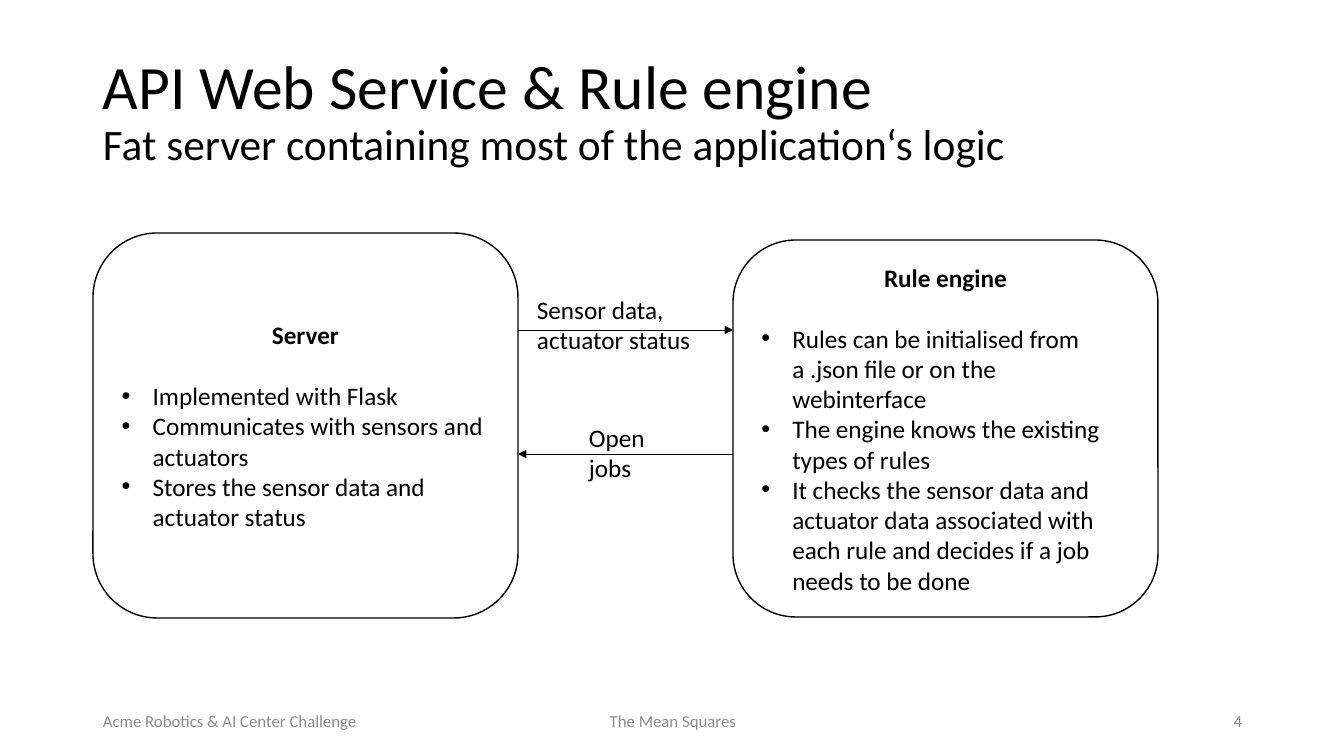
from dataclasses import dataclass

from lxml.etree import SubElement
from pptx import Presentation
from pptx.dml.color import RGBColor
from pptx.enum.shapes import MSO_CONNECTOR, MSO_SHAPE
from pptx.enum.text import MSO_ANCHOR, PP_ALIGN
from pptx.oxml.ns import qn
from pptx.util import Emu, Pt

HEADING = "API Web Service & Rule engine"
SUBHEADING = "Fat server containing most of the application‘s logic"
HEADING_BOX = (93, 40, 1159, 146)

COMPONENTS = [
    ("Server", (93, 233, 425, 385), [
        "Implemented with Flask",
        "Communicates with sensors and actuators",
        "Stores the sensor data and actuator status",
    ]),
    ("Rule engine", (733, 240, 425, 377), [
        "Rules can be initialised from a .json file or on the webinterface",
        "The engine knows the existing types of rules",
        "It checks the sensor data and actuator data associated with each rule "
        "and decides if a job needs to be done",
    ]),
]

SERVER_EDGE, ENGINE_EDGE = 518, 733
FLOWS = [
    ("Sensor data, actuator status", (527, 289, 206, 72), SERVER_EDGE, ENGINE_EDGE, 330),
    ("Open jobs", (579, 417, 106, 72), ENGINE_EDGE, SERVER_EDGE, 454),
]

FOOTERS = [
    ("Acme Robotics & AI Center Challenge", 93, 302, PP_ALIGN.LEFT),
    ("The Mean Squares", 446, 454, PP_ALIGN.CENTER),
    ("4", 950, 302, PP_ALIGN.RIGHT),
]
FOOTER_TOP, FOOTER_HEIGHT = 701, 40
BULLET_INDENT = 31


@dataclass(frozen=True)
class Theme:
    font: str = "Calibri"
    ink: RGBColor = RGBColor(0, 0, 0)
    muted: RGBColor = RGBColor(0x8C, 0x8C, 0x8C)
    paper: RGBColor = RGBColor(255, 255, 255)
    heading: int = 44
    subheading: int = 31
    body: int = 18
    footer: int = 12
    outline: float = 1
    arrow: float = 0.5
    heading_gap: int = 22


THEME = Theme()


def px(length):
    return Emu(round(length * 914400 / 100.8))


def style(paragraph, size, color=THEME.ink, align=PP_ALIGN.LEFT, bold=False):
    paragraph.alignment = align
    font = paragraph.font
    font.name, font.size, font.bold = THEME.font, Pt(size), bold
    font.color.rgb = color


def add_label(slide, box, text, size, color=THEME.ink, align=PP_ALIGN.LEFT,
              anchor=MSO_ANCHOR.TOP):
    frame = slide.shapes.add_textbox(*map(px, box)).text_frame
    frame.word_wrap = True
    frame.vertical_anchor = anchor
    paragraph = frame.paragraphs[0]
    paragraph.text = text
    style(paragraph, size, color, align)
    return paragraph


def add_heading(slide):
    paragraph = add_label(slide, HEADING_BOX, HEADING, THEME.heading,
                          anchor=MSO_ANCHOR.MIDDLE)
    paragraph.line_spacing = 0.9
    paragraph.add_line_break()
    subheading = paragraph.add_run()
    subheading.text = SUBHEADING
    subheading.font.size = Pt(THEME.subheading)


def add_bullet(paragraph):
    properties = paragraph._p.get_or_add_pPr()
    properties.set("marL", str(px(BULLET_INDENT)))
    properties.set("indent", str(-px(BULLET_INDENT)))
    fill = properties.find(qn("a:defRPr"))
    font = SubElement(properties, qn("a:buFont"), typeface="Arial")
    mark = SubElement(properties, qn("a:buChar"), char="•")
    if fill is not None:
        fill.addprevious(font)
        fill.addprevious(mark)


def add_component(slide, name, box, duties):
    component = slide.shapes.add_shape(MSO_SHAPE.ROUNDED_RECTANGLE, *map(px, box))
    component.shadow.inherit = False
    component.fill.solid()
    component.fill.fore_color.rgb = THEME.paper
    component.line.color.rgb = THEME.ink
    component.line.width = Pt(THEME.outline)
    frame = component.text_frame
    frame.word_wrap = True
    frame.vertical_anchor = MSO_ANCHOR.MIDDLE
    title = frame.paragraphs[0]
    title.text = name
    style(title, THEME.body, align=PP_ALIGN.CENTER, bold=True)
    title.space_after = Pt(THEME.heading_gap)
    for duty in duties:
        paragraph = frame.add_paragraph()
        paragraph.text = duty
        style(paragraph, THEME.body)
        add_bullet(paragraph)


def add_arrow(slide, start, end, height):
    arrow = slide.shapes.add_connector(
        MSO_CONNECTOR.STRAIGHT, px(start), px(height), px(end), px(height))
    arrow.line.color.rgb = THEME.ink
    arrow.line.width = Pt(THEME.arrow)
    SubElement(arrow.line._get_or_add_ln(), qn("a:tailEnd"), type="triangle")
    SubElement(arrow._element.spPr, qn("a:effectLst"))


def main():
    deck = Presentation()
    deck.slide_width, deck.slide_height = px(1344), px(756)
    slide = deck.slides.add_slide(deck.slide_layouts[6])
    add_heading(slide)
    for text, left, width, align in FOOTERS:
        add_label(slide, (left, FOOTER_TOP, width, FOOTER_HEIGHT), text,
                  THEME.footer, THEME.muted, align, MSO_ANCHOR.MIDDLE)
    for name, box, duties in COMPONENTS:
        add_component(slide, name, box, duties)
    for text, box, start, end, height in FLOWS:
        add_arrow(slide, start, end, height)
        add_label(slide, box, text, THEME.body)
    deck.save("out.pptx")


if __name__ == "__main__":
    main()
